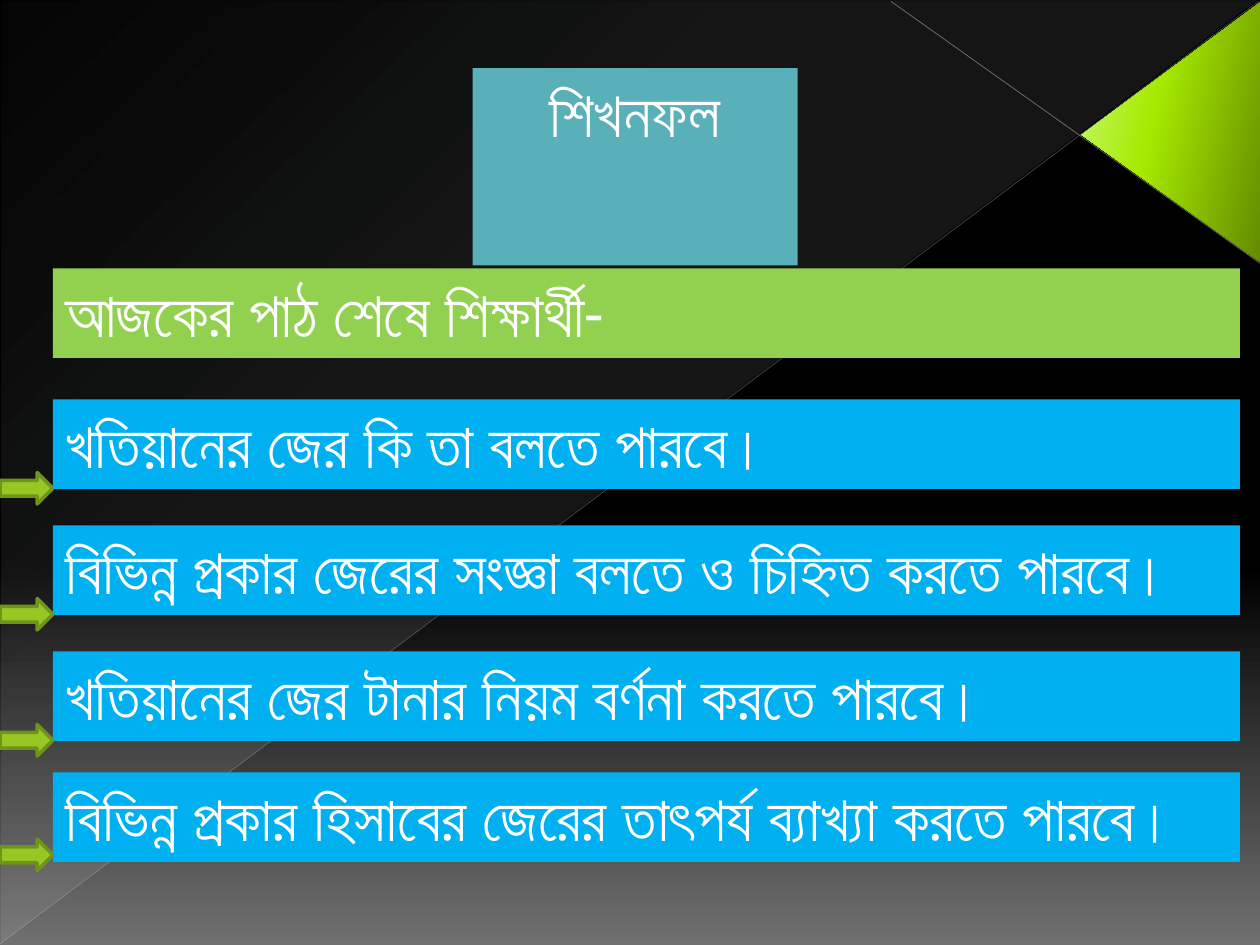
"""Build the learning outcomes slide."""
from dataclasses import dataclass

from lxml.etree import SubElement
from pptx import Presentation
from pptx.dml.color import RGBColor
from pptx.enum.shapes import MSO_CONNECTOR, MSO_SHAPE
from pptx.enum.text import MSO_ANCHOR, MSO_AUTO_SIZE, PP_ALIGN
from pptx.oxml.ns import qn
from pptx.util import Inches, Pt

FONT = "Roboto"
WHITE = RGBColor(0xFF, 0xFF, 0xFF)
BLACK = RGBColor(0x00, 0x00, 0x00)
GRAY = RGBColor(0x70, 0x70, 0x70)
MIST = RGBColor(0xE7, 0xEC, 0xED)
DARK_LIME = RGBColor(0x63, 0x8B, 0x00)
LIME = RGBColor(0xA7, 0xEA, 0x00)
PALE_LIME = RGBColor(0xC4, 0xFA, 0x78)
SILVER = RGBColor(0xC2, 0xC7, 0xCC)
DIM_SILVER = RGBColor(0xBA, 0xC0, 0xC6)
TEAL = RGBColor(0x59, 0xB0, 0xB9)
BLUE = RGBColor(0x00, 0xB0, 0xF0)
GREEN = RGBColor(0x92, 0xD0, 0x50)
ARROW_FILL = RGBColor(0x98, 0xC7, 0x23)
ARROW_LINE = RGBColor(0x70, 0x93, 0x1A)

BAR_LEFT, BAR_WIDTH, BAR_HEIGHT = 0.42, 9.42, 0.71


@dataclass(frozen=True)
class Stop:
    pos: int
    color: RGBColor
    opacity: int = 100


@dataclass(frozen=True)
class Outcome:
    text: str
    top: float
    arrow_top: float


OUTCOMES = [
    Outcome("খতিয়ানের জের কি তা বলতে পারবে।", 3.17, 3.75),
    Outcome("বিভিন্ন প্রকার জেরের সংজ্ঞা বলতে ও চিহ্নিত করতে পারবে।", 4.17, 4.75),
    Outcome("খতিয়ানের জের টানার নিয়ম বর্ণনা করতে পারবে।", 5.17, 5.75),
    Outcome("বিভিন্ন প্রকার হিসাবের জেরের তাৎপর্য ব্যাখ্যা করতে পারবে।", 6.13, 6.66),
]


def set_alpha(clr, opacity: int) -> None:
    SubElement(clr, qn("a:alpha"), val=str(opacity * 1000))


def set_gradient(props, stops: list[Stop], angle: int) -> None:
    solid = props.find(qn("a:solidFill"))
    grad = SubElement(props, qn("a:gradFill"), rotWithShape="1")
    props.replace(solid, grad)
    gs_list = SubElement(grad, qn("a:gsLst"))
    for stop in stops:
        gs = SubElement(gs_list, qn("a:gs"), pos=str(stop.pos * 1000))
        clr = SubElement(gs, qn("a:srgbClr"), val=str(stop.color))
        if stop.opacity < 100:
            set_alpha(clr, stop.opacity)
    SubElement(grad, qn("a:lin"), ang=str(angle * 60000), scaled="0")


def add_facet(slide, kind: MSO_SHAPE, box: tuple, stops: list[Stop], angle: int):
    sp = slide.shapes.add_shape(kind, *map(Inches, box))
    sp.shadow.inherit = False
    sp.line.fill.background()
    sp.fill.solid()
    set_gradient(sp.element.spPr, stops, angle)
    sp.element.spPr.xfrm.set("flipV", "1")
    return sp


def add_line(slide, start: tuple, end: tuple, color: RGBColor,
             width: float, opacity: int) -> None:
    cx = slide.shapes.add_connector(MSO_CONNECTOR.STRAIGHT, *map(Inches, start + end))
    cx.line.color.rgb = color
    cx.line.width = Pt(width)
    spPr = cx.element.spPr
    set_alpha(next(spPr.iter(qn("a:srgbClr"))), opacity)
    SubElement(spPr, qn("a:effectLst"))


def write_text(sp, text: str, *, fill: RGBColor, align: PP_ALIGN = PP_ALIGN.LEFT,
               size: int = 36, color: RGBColor = WHITE) -> None:
    sp.fill.solid()
    sp.fill.fore_color.rgb = fill
    tf = sp.text_frame
    tf.word_wrap = True
    tf.auto_size = MSO_AUTO_SIZE.SHAPE_TO_FIT_TEXT
    tf.vertical_anchor = MSO_ANCHOR.TOP
    p = tf.paragraphs[0]
    p.alignment = align
    r = p.add_run()
    r.text = text
    r.font.name = FONT
    r.font.size = Pt(size)
    r.font.color.rgb = color


def add_bar(slide, text: str, top: float, fill: RGBColor) -> None:
    box = (BAR_LEFT, top, BAR_WIDTH, BAR_HEIGHT)
    write_text(slide.shapes.add_textbox(*map(Inches, box)), text, fill=fill)


def add_arrow(slide, top: float) -> None:
    box = (0, top, BAR_LEFT, 0.25)
    sp = slide.shapes.add_shape(MSO_SHAPE.RIGHT_ARROW, *map(Inches, box))
    sp.shadow.inherit = False
    sp.fill.solid()
    sp.fill.fore_color.rgb = ARROW_FILL
    sp.line.color.rgb = ARROW_LINE
    sp.line.width = Pt(2)


def add_backdrop(slide) -> None:
    slide.background.fill.solid()
    set_gradient(next(slide.element.iter(qn("p:bgPr"))),
                 [Stop(0, BLACK), Stop(60, BLACK), Stop(100, GRAY)], 90)
    add_facet(slide, MSO_SHAPE.RIGHT_TRIANGLE, (0.01, 0.01, 9.98, 7.48),
              [Stop(0, MIST, 10), Stop(70, MIST, 8), Stop(100, MIST, 1)], 133)
    sp = add_facet(slide, MSO_SHAPE.ISOSCELES_TRIANGLE, (8.26, 0.34, 2.07, 1.42),
                   [Stop(0, DARK_LIME), Stop(60, LIME), Stop(100, PALE_LIME)], 258)
    sp.rotation = 90
    sp.adjustments[0] = 0.51
    add_line(slide, (10, 2.09), (7.07, 0.01), SILVER, 0.47, 45)
    add_line(slide, (0, 7.49), (9.99, 0.01), DIM_SILVER, 0.39, 35)


def add_title(slide, text: str) -> None:
    title = slide.shapes.title
    title.left, title.top, title.width, title.height = map(
        Inches, (3.75, 0.54, 2.58, BAR_HEIGHT))
    write_text(title, text, fill=TEAL, align=PP_ALIGN.CENTER)
    title.element.getparent().append(title.element)


def main() -> None:
    prs = Presentation()
    prs.slide_width, prs.slide_height = Inches(10), Inches(7.5)
    slide = prs.slides.add_slide(prs.slide_layouts[5])
    add_backdrop(slide)
    add_title(slide, "শিখনফল")
    add_bar(slide, "আজকের পাঠ শেষে শিক্ষার্থী-", 2.13, GREEN)
    for outcome in OUTCOMES:
        add_bar(slide, outcome.text, outcome.top, BLUE)
        add_arrow(slide, outcome.arrow_top)
    prs.save("out.pptx")


if __name__ == "__main__":
    main()
